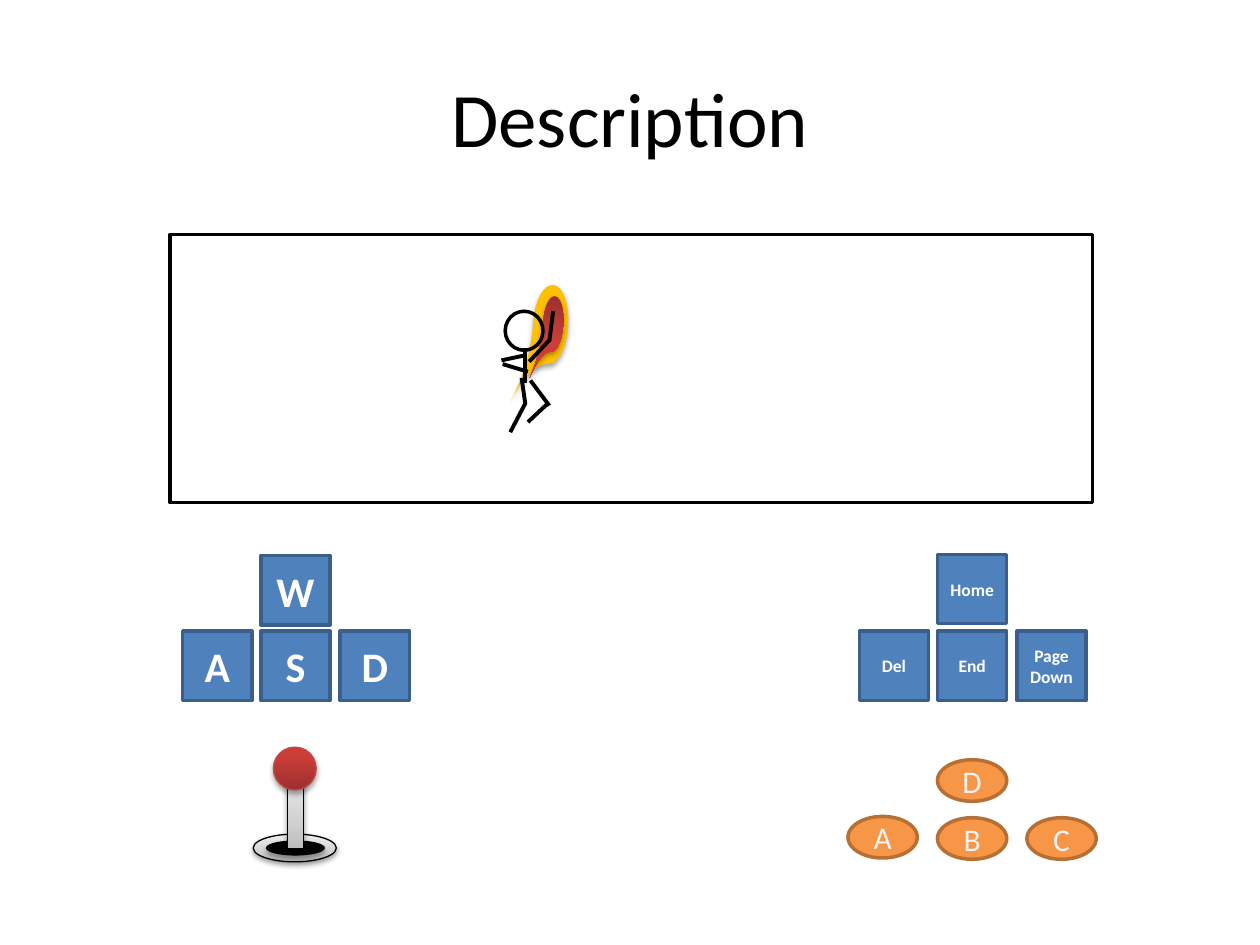
import copy
from dataclasses import dataclass

import pptx
import pptx.dml.color
import pptx.enum.shapes
import pptx.enum.text
import pptx.oxml
import pptx.oxml.ns
import pptx.util

Inches, Pt = pptx.util.Inches, pptx.util.Pt
MSO = pptx.enum.shapes.MSO_SHAPE
qn, nsdecls = pptx.oxml.ns.qn, pptx.oxml.ns.nsdecls


@dataclass(frozen=True)
class Theme:
    font: str = "Calibri"
    black: str = "000000"
    white: str = "FFFFFF"
    key: str = "4F81BD"
    key_line: str = "3A5F8C"
    button: str = "F79646"
    button_line: str = "B76F34"
    button_text: str = "F2F2F2"
    button_outline: str = "D9D9D9"
    ball_line: str = "BF4C48"
    flame: str = "FFC000"
    # Gradients run from bottom to top: (position, colour)
    metal: tuple = ((0, "BDBDBD"), (35, "D1D1D1"), (100, "EEEEEE"))
    red: tuple = ((0, "9C2F2D"), (80, "CB3E3A"), (100, "CE3B37"))
    # Shadows: (opacity percent, distance in points)
    soft: tuple = (38, 1.6)
    deep: tuple = (35, 1.8)
    title_size: float = 44
    letter_size: float = 24
    word_size: float = 10
    button_size: float = 18
    line: float = 2
    limb: float = 2.25
    hairline: float = 0.75


def rgb(value):
    return pptx.dml.color.RGBColor.from_string(value)


class Slide:
    def __init__(self, prs, theme):
        self.theme = theme
        self.s = prs.slides.add_slide(prs.slide_layouts[5])

    def add_text(self, p, text, size, color, bold=False):
        for i, part in enumerate(text.split("\n")):
            if i:
                p.add_line_break()
            r = p.add_run()
            r.text = part
            r.font.name, r.font.size, r.font.bold = self.theme.font, Pt(size), bold
            r.font.color.rgb = rgb(color)
        p.alignment = pptx.enum.text.PP_ALIGN.CENTER
        return r

    def title(self, text, box):
        sp = self.s.shapes.title
        sp.left, sp.top, sp.width, sp.height = map(Inches, box)
        tf = sp.text_frame
        tf.vertical_anchor = pptx.enum.text.MSO_ANCHOR.MIDDLE
        self.add_text(tf.paragraphs[0], text, self.theme.title_size, self.theme.black)

    def gradient(self, sp, stops):
        sp.fill.gradient()
        sp.fill.gradient_angle = 90
        gs_list = sp.element.spPr.find(qn("a:gradFill")).find(qn("a:gsLst"))
        gs_list.insert(1, copy.deepcopy(gs_list[0]))
        for stop, (position, color) in zip(sp.fill.gradient_stops, stops):
            stop.position = position / 100
            stop.color.rgb = rgb(color)

    def shadow(self, sp, opacity, distance):
        sp.element.spPr.find(qn("a:effectLst")).append(pptx.oxml.parse_xml(
            f'<a:outerShdw {nsdecls("a")} blurRad="{Pt(3.1)}" dist="{Pt(distance)}" '
            f'dir="5400000" rotWithShape="0"><a:srgbClr val="{self.theme.black}">'
            f'<a:alpha val="{opacity * 1000}"/></a:srgbClr></a:outerShdw>'))

    def shape(self, kind, box, fill=None, line=None, width=None, shadow=None, group=None):
        shapes = group.shapes if group is not None else self.s.shapes
        sp = shapes.add_shape(kind, *map(Inches, box))
        sp.shadow.inherit = False
        if fill is None:
            sp.fill.background()
        elif isinstance(fill, tuple):
            self.gradient(sp, fill)
        else:
            sp.fill.solid()
            sp.fill.fore_color.rgb = rgb(fill)
        if line is None:
            sp.line.fill.background()
        else:
            sp.line.color.rgb = rgb(line)
            sp.line.width = Pt(width or self.theme.line)
        if shadow:
            self.shadow(sp, *shadow)
        return sp

    def label(self, sp, text, size, color, bold=False):
        tf = sp.text_frame
        tf.margin_left = tf.margin_right = tf.margin_top = tf.margin_bottom = 0
        tf.word_wrap = True
        tf.vertical_anchor = pptx.enum.text.MSO_ANCHOR.MIDDLE
        return self.add_text(tf.paragraphs[0], text, size, color, bold)

    def key(self, text, x, y, size):
        t = self.theme
        sp = self.shape(MSO.RECTANGLE, (x, y, 0.55, 0.55), t.key, t.key_line)
        self.label(sp, text, size, t.white, True)

    def button(self, text, x, y):
        t = self.theme
        sp = self.shape(MSO.OVAL, (x, y, 0.55, 0.33), t.button, t.button_line)
        r = self.label(sp, text, t.button_size, t.button_text)
        r._r.get_or_add_rPr().insert(0, pptx.oxml.parse_xml(
            f'<a:ln {nsdecls("a")} w="{Pt(t.hairline)}"><a:solidFill>'
            f'<a:srgbClr val="{t.button_outline}"/></a:solidFill></a:ln>'))

    def teardrop(self, box, fill, point):
        sp = self.shape(MSO.TEAR, box, fill, shadow=self.theme.deep)
        sp.adjustments[0] = point
        sp.rotation = 183.5

    def limb(self, x1, y1, x2, y2):
        c = self.s.shapes.add_connector(
            pptx.enum.shapes.MSO_CONNECTOR.STRAIGHT, *map(Inches, (x1, y1, x2, y2)))
        c.line.color.rgb = rgb(self.theme.black)
        c.line.width = Pt(self.theme.limb)
        c._element.spPr.append(pptx.oxml.parse_xml(f'<a:effectLst {nsdecls("a")}/>'))


prs = pptx.Presentation()
prs.slide_width, prs.slide_height = Inches(10), Inches(7.5)
t = Theme()
slide = Slide(prs, t)
slide.title("Description", (0.5, 0.3, 9, 1.25))

# Keyboard clusters: one key above a row of three
for words, middle, top, size in (
    (("W", "S", "A", "D"), 2.07, 4.41, t.letter_size),
    (("Home", "End", "Del", "Page\nDown"), 7.44, 4.4, t.word_size),
):
    places = ((0, top), (0, 5.01), (-0.62, 5.01), (0.63, 5.01))
    for word, (dx, y) in zip(words, places):
        slide.key(word, middle + dx, y, size)

# Joystick
stick = slide.s.shapes.add_group_shape()
for kind, box, fill, line, shadow in (
    (MSO.OVAL, (2.01, 6.62, 0.66, 0.22), t.metal, t.black, t.soft),
    (MSO.OVAL, (2.11, 6.67, 0.47, 0.12), t.black, None, t.deep),
    (MSO.RECTANGLE, (2.28, 6.11, 0.13, 0.63), t.metal, t.black, t.soft),
    (MSO.OVAL, (2.17, 5.93, 0.34, 0.34), t.red, t.ball_line, t.deep),
):
    slide.shape(kind, box, fill, line, t.hairline, shadow, stick)

# Arcade buttons
for i, (letter, y) in enumerate((("A", 6.48), ("B", 6.49), ("C", 6.49))):
    slide.button(letter, 6.73 + 0.71 * i, y)
slide.button("D", 7.44, 6.03)

# Game screen
slide.shape(MSO.RECTANGLE, (1.35, 1.86, 7.32, 2.13), t.white, t.black)

# Flame behind the stick figure
slide.teardrop((4.23, 2.26, 0.28, 0.63), t.flame, 2)
slide.teardrop((4.31, 2.35, 0.16, 0.44), t.red, 1.996)

# Stick figure: head, then body, arms and legs
slide.shape(MSO.OVAL, (4.01, 2.47, 0.3, 0.31), None, t.black)
for ends in (
    (4.17, 2.76, 4.17, 3.04),
    (4.2, 2.87, 4.36, 2.7),
    (3.98, 2.86, 4.17, 2.82),
    (4.21, 3.02, 4.36, 3.22),
    (3.99, 2.89, 4.19, 2.95),
    (4.36, 2.71, 4.39, 2.47),
    (4.14, 3, 4.17, 3.21),
    (4.17, 3.2, 4.05, 3.43),
    (4.35, 3.2, 4.19, 3.35),
):
    slide.limb(*ends)

prs.save("out.pptx")
